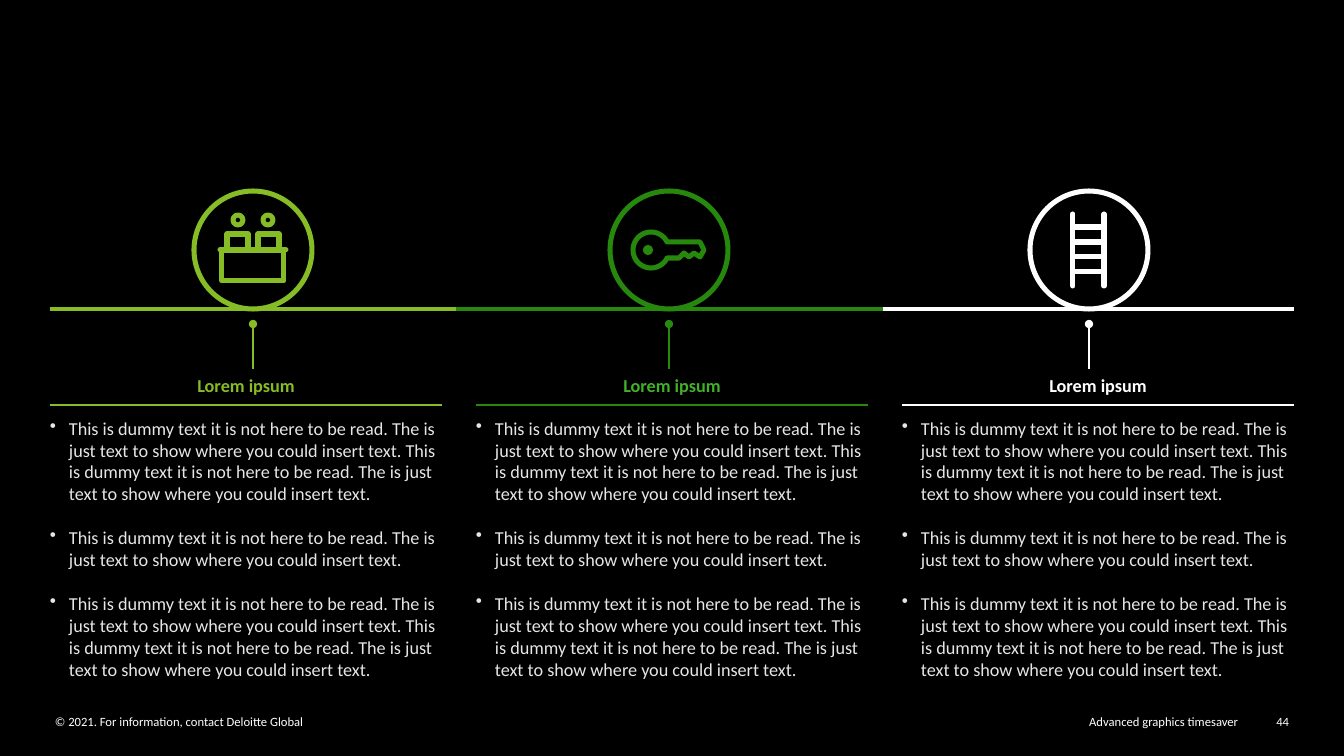
import math
from dataclasses import dataclass

import pptx
import pptx.dml.color
import pptx.enum.shapes
import pptx.enum.text
import pptx.oxml
import pptx.oxml.ns
import pptx.util

PX = 914400 / 100.8
NS = pptx.oxml.ns.nsdecls("a")
ALIGN = pptx.enum.text.PP_ALIGN
OVAL = pptx.enum.shapes.MSO_SHAPE.OVAL
RECT = pptx.enum.shapes.MSO_SHAPE.RECTANGLE


@dataclass(frozen=True)
class Theme:
    font: str = "Calibri"
    back: str = "000000"
    lime: str = "86BC25"
    green: str = "26890D"
    leaf: str = "43B02A"
    white: str = "FFFFFF"
    grey: str = "E7E6E6"
    body: int = 13
    foot: int = 9
    bar: float = 3
    thin: float = 1.5
    icon: float = 3.6
    gap: float = 15.8


def emu(px):
    return pptx.util.Emu(round(px * PX))


def rgb(code):
    return pptx.dml.color.RGBColor.from_string(code)


class Canvas:
    def __init__(self, slide, theme):
        self.slide = slide
        self.theme = theme
        fill = slide.background.fill
        fill.solid()
        fill.fore_color.rgb = rgb(theme.back)

    def text(self, x, y, w, h, lines, size, color, align=ALIGN.LEFT,
             bold=False, bullet=False):
        box = self.slide.shapes.add_textbox(emu(x), emu(y), emu(w), emu(h))
        frame = box.text_frame
        frame.margin_left = frame.margin_right = 0
        frame.margin_top = frame.margin_bottom = 0
        frame.word_wrap = True
        frame.text = "\n".join(lines)
        for i, para in enumerate(frame.paragraphs):
            para.alignment = align
            if bullet:
                props = para._p.get_or_add_pPr()
                props.set("marL", str(emu(19)))
                props.set("indent", str(-emu(19)))
                props.append(pptx.oxml.parse_xml(f'<a:buChar {NS} char="•"/>'))
                if i:
                    para.space_before = pptx.util.Pt(self.theme.gap)
            for run in para.runs:
                run.font.name = self.theme.font
                run.font.size = pptx.util.Pt(size)
                run.font.bold = bold
                run.font.color.rgb = rgb(color)

    def line(self, x1, y1, x2, y2, color, width, dot=False, cap=False):
        link = self.slide.shapes.add_connector(
            pptx.enum.shapes.MSO_CONNECTOR.STRAIGHT,
            emu(x1), emu(y1), emu(x2), emu(y2))
        self.pen(link, color, width, cap)
        if dot:
            link.line._get_or_add_ln().append(
                pptx.oxml.parse_xml(f'<a:tailEnd {NS} type="oval"/>'))
        link._element.spPr.append(pptx.oxml.parse_xml(f"<a:effectLst {NS}/>"))

    def pen(self, item, color, width, cap=True):
        item.line.color.rgb = rgb(color)
        item.line.width = pptx.util.Pt(width)
        if cap:
            ln = item.line._get_or_add_ln()
            ln.set("cap", "rnd")
            ln.append(pptx.oxml.parse_xml(f"<a:round {NS}/>"))

    def shape(self, kind, x, y, w, h, color, solid=False):
        item = self.slide.shapes.add_shape(kind, emu(x), emu(y), emu(w), emu(h))
        item.shadow.inherit = False
        if solid:
            item.fill.solid()
            item.fill.fore_color.rgb = rgb(color)
            item.line.fill.background()
        else:
            item.fill.background()
            self.pen(item, color, self.theme.icon)

    def ring(self, x, y, r, color, solid=False):
        self.shape(OVAL, x - r, y - r, 2 * r, 2 * r, color, solid)

    def trace(self, x, y, points, color, close=False):
        dots = [(emu(x + dx), emu(y + dy)) for dx, dy in points]
        form = self.slide.shapes.build_freeform(*dots[0], scale=1.0)
        form.add_line_segments(dots[1:], close=close)
        item = form.convert_to_shape()
        item.shadow.inherit = False
        item.fill.background()
        self.pen(item, color, self.theme.icon)


def desk(art, x, y, color):
    for side in (-1, 1):
        art.ring(x + 15 * side, y - 30, 5, color)
        near, far = 5 * side, 26 * side
        art.trace(x, y, [(near, 0), (near, -16), (far, -16), (far, 0)], color)
    art.shape(RECT, x - 31, y, 62, 31, color)
    art.line(x - 33, y, x + 33, y, color, art.theme.icon, cap=True)


def key(art, x, y, color):
    bow = [(-18 + 18 * math.cos(math.radians(a)), 18 * math.sin(math.radians(a)))
           for a in range(27, 334, 9)]
    blade = [(-2, -8), (31, -8), (35, 0), (31, 7), (25, 3), (20, 7),
             (15, 3), (10, 8), (-2, 8)]
    art.trace(x, y, bow + blade, color, close=True)
    art.ring(x - 21, y, 5, color, solid=True)


def ladder(art, x, y, color):
    left, right = x - 16, x + 15
    for rail in (left, right):
        art.line(rail, y - 36, rail, y + 36, color, art.theme.icon, cap=True)
    for rung in range(-23, 24, 15):
        art.line(left, y + rung, right, y + rung, color, art.theme.icon)


def main():
    deck = pptx.Presentation()
    deck.slide_width, deck.slide_height = emu(1344), emu(756)
    look = Theme()
    art = Canvas(deck.slides.add_slide(deck.slide_layouts[6]), look)

    # Footer
    for x, w, words, align in (
            (55, 591, "© 2021. For information, contact Deloitte Global", ALIGN.LEFT),
            (699, 539, "Advanced graphics timesaver", ALIGN.RIGHT),
            (1255, 34, "44", ALIGN.RIGHT)):
        art.text(x, 714, w, 15, [words], look.foot, look.white, align)

    # Columns: bar start and end, icon centre, colours, icon
    short = ("This is dummy text it is not here to be read. "
             "The is just text to show where you could insert text.")
    long = f"{short} {short}"
    steps = (
        (50, 456, 253, look.lime, look.lime, desk),
        (456, 883, 669, look.green, look.leaf, key),
        (883, 1294, 1089, look.white, look.white, ladder))
    for i, (start, end, mid, color, tint, icon) in enumerate(steps):
        left, wide = 50 + 426 * i, 392
        # Timeline, icon and stem
        art.line(start, 309, end, 309, color, look.bar)
        art.ring(mid, 250, 59, color)
        icon(art, mid, 250, color)
        art.line(mid, 369, mid, 324, color, look.thin, dot=True)
        # Heading, rule and bullets
        art.text(left, 374, wide, 22, ["Lorem ipsum"], look.body, tint,
                 ALIGN.CENTER, bold=True)
        art.line(left, 405, left + wide, 405, color, look.thin)
        art.text(left, 417, wide, 265, [long, short, long], look.body,
                 look.grey, bullet=True)

    deck.save("out.pptx")


if __name__ == "__main__":
    main()
